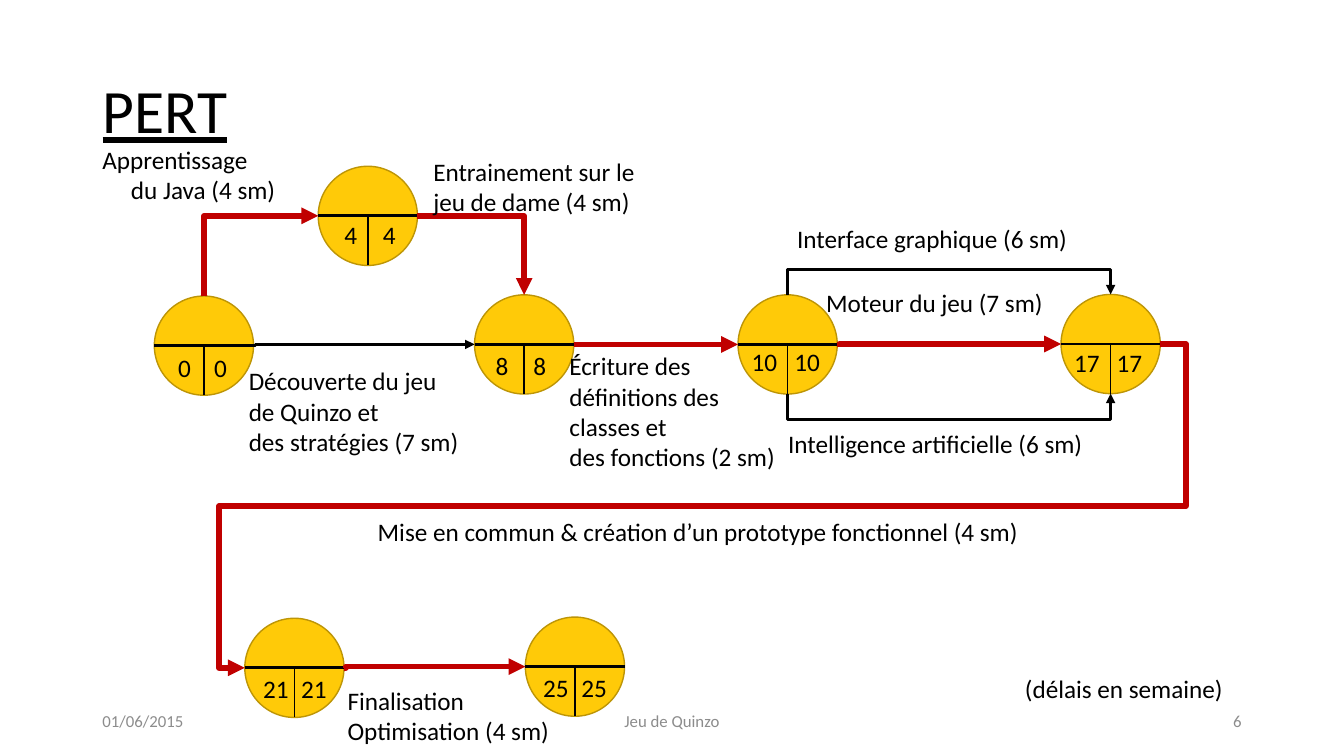
from lxml import etree
from pptx import Presentation
from pptx.dml.color import RGBColor
from pptx.enum.shapes import MSO_CONNECTOR, MSO_SHAPE
from pptx.enum.text import MSO_ANCHOR, MSO_AUTO_SIZE, PP_ALIGN
from pptx.oxml.ns import qn
from pptx.util import Cm, Pt

STRAIGHT = MSO_CONNECTOR.STRAIGHT
OVAL = MSO_SHAPE.OVAL
TOP, MIDDLE = MSO_ANCHOR.TOP, MSO_ANCHOR.MIDDLE
LEFT, CENTER, RIGHT = PP_ALIGN.LEFT, PP_ALIGN.CENTER, PP_ALIGN.RIGHT
GROW, FIXED = MSO_AUTO_SIZE.SHAPE_TO_FIT_TEXT, MSO_AUTO_SIZE.NONE

COLOURS = {
    "text": "000000",
    "muted": "8C8C8C",
    "node": "FFCA08",
    "edge": "BD9506",
    "critical": "C00000",
}
FONT = "Calibri"
RADIUS = 1.25
FIELDS = ("x", "y", "across", "down", "stop")

NODES = {
    name: dict(zip(FIELDS, values))
    for name, values in {
        "0": (5.14, 8.71, -0.9, 0.05, 0.91),
        "4": (9.27, 5.44, -0.84, -0.03, 0.97),
        "8": (13.21, 8.68, -0.97, 0.03, 0.95),
        "10": (19.85, 8.68, -1.16, -0.09, 1.08),
        "17": (27.99, 8.67, -1.17, -0.03, 1.07),
        "21": (7.42, 16.83, -1.04, 0.01, 0.96),
        "25": (14.49, 16.8, -1.05, 0.02, 0.96),
    }.items()
}
TASKS = [
    (10.67, 3.81, 5.64, ["Entrainement sur le", "jeu de dame (4 sm)"]),
    (6.02, 9.09, 6, ["Découverte du jeu", "de Quinzo et", "des stratégies (7 sm)"]),
    (14.1, 8.71, 6.65, ["Écriture des", "définitions des", "classes et", "des fonctions (2 sm)"]),
    (19.84, 5.51, 7.6, ["Interface graphique (6 sm)"]),
    (20.57, 7.11, 6.2, ["Moteur du jeu (7 sm)"]),
    (19.61, 10.67, 8.2, ["Intelligence artificielle (6 sm)"]),
    (9.27, 12.88, 20.6, ["Mise en commun & création d’un prototype fonctionnel (4 sm)"]),
    (8.51, 17.15, 5.8, ["Finalisation", "Optimisation (4 sm)"]),
    (25.58, 16.84, 6.6, ["(délais en semaine)"]),
]
FOOTERS = [
    (2.33, 7.62, "01/06/2015", LEFT),
    (11.22, 11.43, "Jeu de Quinzo", CENTER),
    (23.92, 7.62, "6", RIGHT),
]


def write(frame, lines, size=18, colour="text", align=LEFT, anchor=TOP, underline=None):
    """Write lines as formatted paragraphs and return the paragraphs."""
    frame.word_wrap = True
    frame.vertical_anchor = anchor
    for index, line in enumerate(lines):
        para = frame.add_paragraph() if index else frame.paragraphs[0]
        para.alignment = align
        span = para.add_run()
        span.text = line
        span.font.name = FONT
        span.font.size = Pt(size)
        span.font.underline = underline
        span.font.color.rgb = RGBColor.from_string(COLOURS[colour])
    return frame.paragraphs


def side(name, across, down):
    """Return the point on a node's rim in the given direction."""
    node = NODES[name]
    return node["x"] + across * RADIUS, node["y"] + down * RADIUS


class PertPage:
    """Draws the elements of a PERT chart on one slide."""

    def __init__(self, deck):
        """Add a page with a title only."""
        self.page = deck.slides.add_slide(deck.slide_layouts[5])
        self.shapes = self.page.shapes

    def title(self, text):
        """Place and format the title."""
        box = self.shapes.title
        box.left, box.top, box.width, box.height = Cm(2.33), Cm(1.02), Cm(29.21), Cm(3.68)
        paras = write(box.text_frame, [text], size=44, anchor=MIDDLE, underline=True)
        paras[0].line_spacing = 0.9

    def label(self, left, top, width, lines, height=None, **style):
        """Add a text box and return its paragraphs."""
        tall = height or 0.25 + 0.77 * len(lines)
        box = self.shapes.add_textbox(Cm(left), Cm(top), Cm(width), Cm(tall))
        box.text_frame.margin_right = Cm(0.25 if height else 0)
        box.text_frame.auto_size = FIXED if height else GROW
        return write(box.text_frame, lines, **style)

    def line(self, start, end, colour="text", width=2.0):
        """Add a plain line and return its shape properties."""
        line = self.shapes.add_connector(STRAIGHT, *(Cm(value) for value in (*start, *end)))
        line.line.color.rgb = RGBColor.from_string(COLOURS[colour])
        line.line.width = Pt(width)
        properties = line._element.spPr
        etree.SubElement(properties, qn("a:effectLst"))
        return properties

    def arrow(self, start, end, preset, critical=True, adjusts=(), turned=False):
        """Add a bent arrow that leaves its start vertically when turned."""
        if turned:
            middle_x, middle_y = (start[0] + end[0]) / 2, (start[1] + end[1]) / 2
            start, end = [
                (middle_x + y - middle_y, middle_y - x + middle_x) for x, y in (start, end)
            ]
        style = ("critical", 4) if critical else ("text", 2.25)
        properties = self.line(start, end, *style)
        etree.SubElement(properties.find(qn("a:ln")), qn("a:tailEnd"), type="triangle")
        if turned:
            properties.find(qn("a:xfrm")).set("rot", "5400000")
        geometry = properties.find(qn("a:prstGeom"))
        geometry.set("prst", preset)
        for number, adjust in enumerate(adjusts, 1):
            etree.SubElement(
                geometry.find(qn("a:avLst")), qn("a:gd"),
                name=f"adj{number}", fmla=f"val {round(adjust * 100000)}",
            )

    def node(self, name):
        """Add a circle split into one upper and two lower parts."""
        left, top = side(name, -1, -1)
        circle = self.shapes.add_shape(OVAL, Cm(left), Cm(top), Cm(2 * RADIUS), Cm(2 * RADIUS))
        circle.shadow.inherit = False
        circle.fill.solid()
        circle.fill.fore_color.rgb = RGBColor.from_string(COLOURS["node"])
        circle.line.color.rgb = RGBColor.from_string(COLOURS["edge"])
        circle.line.width = Pt(1)
        self.line(side(name, -1, 0), side(name, 1, 0))
        self.line(side(name, 0, 1), side(name, 0, 0), width=1)

    def numbers(self, name):
        """Write the early and late dates in a node."""
        node = NODES[name]
        left, top = node["x"] + node["across"], node["y"] + node["down"]
        para = self.label(left, top, 2.3, [f"{name}\t{name}"])[0]
        tabs = etree.SubElement(para._p.get_or_add_pPr(), qn("a:tabLst"))
        etree.SubElement(tabs, qn("a:tab"), pos=str(Cm(node["stop"])), algn="l")


def main():
    """Build the PERT slide."""
    deck = Presentation()
    deck.slide_width, deck.slide_height = Cm(33.87), Cm(19.05)
    pert = PertPage(deck)
    pert.title("PERT")
    for left, width, text, align in FOOTERS:
        pert.label(left, 17.65, width, [text], height=1.02, size=12,
                   colour="muted", align=align, anchor=MIDDLE)
    for name in NODES:
        pert.node(name)

    pert.arrow(side("0", 0, -1), side("4", -1, 0), "bentConnector2", turned=True)
    pert.arrow(side("4", 1, 0), side("8", 0, -1), "bentConnector2")
    for first, second in (("0", "8"), ("8", "10"), ("10", "17"), ("21", "25")):
        pert.arrow(side(first, 1, 0), side(second, -1, 0), "bentConnector3",
                   critical=first != "0", adjusts=[0.01])
    for down in (-1, 1):
        start, end = side("10", 0, down), side("17", 0, down)
        bend = -down * 0.64 / (start[1] - end[1])
        pert.arrow(start, end, "bentConnector3", critical=False, adjusts=[bend], turned=True)
    pert.arrow(side("17", 1, 0), side("21", -1, 0), "bentConnector5",
               adjusts=[-0.028, 0.5, 1.028])

    java = pert.label(2.33, 3.51, 6, ["Apprentissage", "du Java (4 sm)"])
    java[1]._p.get_or_add_pPr().set("marL", str(Cm(0.72)))
    for left, top, width, lines in TASKS:
        pert.label(left, top, width, lines)
    for name in NODES:
        pert.numbers(name)
    deck.save("out.pptx")


if __name__ == "__main__":
    main()
